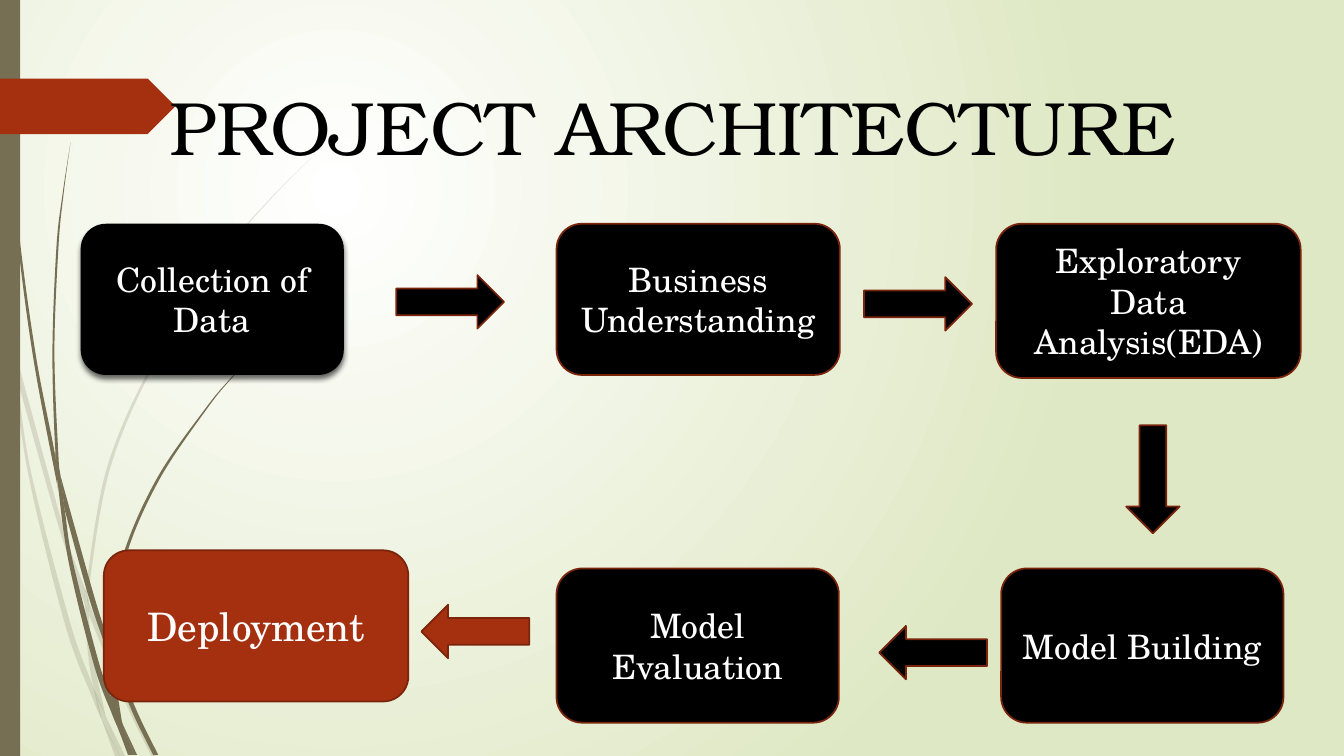
from dataclasses import dataclass
from typing import NamedTuple

from lxml import etree
from pptx import Presentation
from pptx import slide as sl
from pptx import util as u
from pptx.dml import color
from pptx.enum import shapes, text
from pptx.oxml import ns
from pptx.shapes import autoshape
from pptx.text import text as tx

SLIDE_W, SLIDE_H = u.Inches(13.33), u.Inches(7.5)
COLS, ROWS = 13.33, 7.5
COL, ROW = SLIDE_W / COLS, SLIDE_H / ROWS
ARROW_LONG, ARROW_SHORT = 1.07, 0.53
SHAPE = shapes.MSO_SHAPE
Point = tuple[float, float]


@dataclass(frozen=True)
class Theme:
    glow: str = "FFFFFF"
    backdrop: str = "DFE8C4"
    grass: str = "766F54"
    accent: str = "A53010"
    outline: str = "7A240C"
    dark: str = "000000"
    light: str = "FFFFFF"
    title_font: str = "TeX Gyre Bonum"
    body_font: str = "TeX Gyre Schola"
    title_size: float = 54
    step_size: float = 24
    final_size: float = 28
    line_width: float = 1.25
    faint: int = 20


THEME = Theme()


class Cell(NamedTuple):
    col: float
    row: float
    cols: float
    rows: float


class Step(NamedTuple):
    label: str
    cell: Cell
    fill: str = THEME.dark
    size: float = THEME.step_size
    raised: bool = False


class Arrow(NamedTuple):
    kind: shapes.MSO_SHAPE
    col: float
    row: float
    fill: str = THEME.dark


class Blade(NamedTuple):
    near: list[Point]
    far: list[Point]


FAINT_BLADES = [
    Blade([(0, 2.82), (0.09, 3.22), (0.11, 3.5)], [(0, 2.99), (0.1, 3.44), (0.11, 3.5)]),
    Blade([(0.14, 3.45), (0.62, 5.2), (0.85, 5.86)], [(0.17, 3.76), (0.58, 5.22), (0.84, 5.99)]),
    Blade([(0.88, 5.96), (0.92, 6.07), (1.27, 6.92), (1.55, 7.5)], [(0.88, 6.1), (1.23, 6.94), (1.5, 7.5)]),
    Blade([(1.05, 7.11), (1.24, 7.5)], [(1.05, 7.11), (1.19, 7.5)]),
    Blade([(0.11, 3.5), (0.17, 3.76), (0.31, 4.69), (0.7, 6.19), (0.93, 6.83), (1.01, 7.14)],
          [(0.11, 3.5), (0.28, 4.7), (0.65, 6.21), (0.92, 6.93), (1.01, 7.14)]),
    Blade([(0.84, 5.99), (0.88, 6.1), (0.91, 6.46), (1.05, 7.11)],
          [(0.84, 5.99), (0.87, 6.46), (0.93, 6.83), (1.05, 7.11)]),
    Blade([(3.12, 1.53), (2.68, 1.98), (2.29, 2.45), (1.6, 3.49), (1.1, 4.62), (0.88, 5.84), (0.88, 5.96)],
          [(3.12, 1.53), (2.68, 1.97), (2.28, 2.44), (1.58, 3.48), (1.07, 4.61), (0.85, 5.84), (0.85, 5.86)]),
    Blade([(1.01, 7.14), (1.19, 7.5)], [(1.01, 7.14), (1.14, 7.5)]),
    Blade([(0.85, 5.86), (0.88, 5.96), (0.88, 6.1)], [(0.84, 5.99), (0.88, 6.08)]),
    Blade([(0.93, 6.83), (1.05, 7.11), (1.19, 7.5)], [(0.93, 6.83), (1.01, 7.14), (1.19, 7.5)]),
]

BLADES = [
    Blade([(0.04, 0), (0.05, 0.48), (0.08, 1.09), (0.19, 2.32), (0.36, 3.55), (0.55, 4.53), (0.57, 4.81)],
          [(0.03, 0), (0.04, 0.48), (0.07, 1.1), (0.17, 2.33), (0.33, 3.55), (0.56, 4.77), (0.57, 4.81)]),
    Blade([(0.6, 4.72), (0.93, 5.9), (1.06, 6.31)], [(0.64, 5.05), (0.88, 5.92), (1.06, 6.45)]),
    Blade([(1.1, 6.41), (1.13, 6.49), (1.36, 7.06), (1.57, 7.49)], [(1.11, 6.56), (1.32, 7.08), (1.52, 7.49)]),
    Blade([(0.57, 4.77), (0.64, 5.05), (0.72, 5.56), (0.98, 6.57), (1.1, 6.91), (1.17, 7.22)],
          [(0.57, 4.77), (0.68, 5.57), (0.93, 6.59), (1.11, 7.08), (1.17, 7.22)]),
    Blade([(0.7, 1.41), (0.63, 1.93), (0.58, 2.45), (0.54, 3.49), (0.58, 4.53), (0.6, 4.72)],
          [(0.7, 1.41), (0.62, 1.93), (0.56, 2.45), (0.52, 3.49), (0.55, 4.49), (0.6, 4.72)]),
    Blade([(1.22, 7.19), (1.36, 7.49)], [(1.22, 7.19), (1.33, 7.49)]),
    Blade([(0.55, 4.49), (0.6, 4.72), (0.64, 5.05)], [(0.55, 4.53), (0.57, 4.77), (0.64, 5.05)]),
    Blade([(2.6, 3.44), (2.31, 3.74), (2.05, 4.06), (1.58, 4.76), (1.25, 5.52), (1.11, 6.33), (1.1, 6.41)],
          [(2.6, 3.44), (2.31, 3.73), (2.04, 4.05), (1.56, 4.74), (1.22, 5.51), (1.06, 6.31)]),
    Blade([(1.17, 7.22), (1.31, 7.49)], [(1.17, 7.22), (1.27, 7.49)]),
    Blade([(1.06, 6.45), (1.11, 6.56), (1.21, 7.16)], [(1.06, 6.45), (1.1, 6.91), (1.22, 7.19)]),
    Blade([(1.1, 6.91), (1.22, 7.19), (1.33, 7.49)], [(1.1, 6.91), (1.17, 7.22), (1.3, 7.49)]),
]

STEPS = [
    Step("Collection of Data", Cell(0.8, 2.22, 2.61, 1.5), raised=True),
    Step("Business Understanding", Cell(5.52, 2.22, 2.81, 1.5)),
    Step("Exploratory Data Analysis(EDA)", Cell(9.88, 2.22, 3.02, 1.53)),
    Step("Model Building", Cell(9.93, 5.64, 2.8, 1.53)),
    Step("Model Evaluation", Cell(5.52, 5.64, 2.8, 1.53)),
    Step("Deployment", Cell(1.03, 5.46, 3.02, 1.5), THEME.accent, THEME.final_size),
]

ARROWS = [
    Arrow(SHAPE.RIGHT_ARROW, 3.93, 2.73),
    Arrow(SHAPE.RIGHT_ARROW, 8.57, 2.75),
    Arrow(SHAPE.DOWN_ARROW, 11.17, 4.22),
    Arrow(SHAPE.LEFT_ARROW, 8.72, 6.21),
    Arrow(SHAPE.LEFT_ARROW, 4.18, 6, THEME.accent),
]


def place(cell: Cell) -> list[int]:
    return [round(n * unit) for n, unit in zip(cell, (COL, ROW, COL, ROW))]


def smooth(knots: list[Point]) -> list[Point]:
    ends = [knots[0], *knots, knots[-1]]
    curve = [knots[0]]
    for a, b, c, d in zip(ends, ends[1:], ends[2:], ends[3:]):
        curve += [tuple(q + (r - p) / 6 for p, q, r in zip(a, b, c)),
                  tuple(r - (v - q) / 6 for q, r, v in zip(b, c, d)), c]
    return curve


def paint(sp: autoshape.Shape, fill: str, line: str | None = None) -> None:
    sp.shadow.inherit = False
    sp.fill.solid()
    sp.fill.fore_color.rgb = color.RGBColor.from_string(fill)
    if line:
        sp.line.color.rgb = color.RGBColor.from_string(line)
        sp.line.width = u.Pt(THEME.line_width)
    else:
        sp.line.fill.background()


def write(tf: tx.TextFrame, label: str, font: str, size: float, ink: str) -> None:
    tf.text = label
    p = tf.paragraphs[0]
    p.alignment = text.PP_ALIGN.CENTER
    r = p.runs[0]
    r.font.name, r.font.size = font, u.Pt(size)
    r.font.color.rgb = color.RGBColor.from_string(ink)


def draw_shape(s: sl.Slide, kind: SHAPE, cell: Cell, fill: str, line: str | None = None) -> autoshape.Shape:
    sp = s.shapes.add_shape(kind, *place(cell))
    paint(sp, fill, line)
    return sp


def draw_backdrop(s: sl.Slide) -> None:
    fill = s.background.fill
    fill.gradient()
    for stop, tone in zip(fill.gradient_stops, (THEME.glow, THEME.backdrop)):
        stop.color.rgb = color.RGBColor.from_string(tone)
    grad = s.element.find(".//" + ns.qn("a:gradFill"))
    grad.remove(grad.find(ns.qn("a:lin")))
    radial = etree.SubElement(grad, ns.qn("a:path"), path="circle")
    etree.SubElement(radial, ns.qn("a:fillToRect"), l="50000", t="50000", r="100000", b="100000")


def draw_blade(s: sl.Slide, blade: Blade, opacity: int) -> None:
    near, far = smooth(blade.near), smooth(blade.far[::-1])
    outline = [(round(x * COL), round(y * ROW)) for x, y in near + far]
    builder = s.shapes.build_freeform(*outline[0])
    builder.add_line_segments(outline[1:], close=True)
    sp = builder.convert_to_shape()
    paint(sp, THEME.grass)
    legs = sp.element.spPr.findall(".//" + ns.qn("a:lnTo"))
    del legs[len(near) - 1]
    for trio in zip(legs[::3], legs[1::3], legs[2::3]):
        bend = etree.Element(ns.qn("a:cubicBezTo"))
        trio[0].addprevious(bend)
        for leg in trio:
            bend.append(leg[0])
            leg.getparent().remove(leg)
    if opacity < 100:
        tone = sp.element.spPr.find(".//" + ns.qn("a:srgbClr"))
        etree.SubElement(tone, ns.qn("a:alpha"), val=str(opacity * 1000))


def draw_step(s: sl.Slide, step: Step) -> None:
    line = None if step.raised else THEME.outline
    sp = draw_shape(s, SHAPE.ROUNDED_RECTANGLE, step.cell, step.fill, line)
    tf = sp.text_frame
    tf.word_wrap, tf.vertical_anchor = True, text.MSO_ANCHOR.MIDDLE
    write(tf, step.label, THEME.body_font, step.size, THEME.light)
    if step.raised:
        shadow = etree.SubElement(sp.element.spPr.find(ns.qn("a:effectLst")), ns.qn("a:outerShdw"),
                                  blurRad=str(u.Pt(4)), dist=str(u.Pt(3)), dir="5400000", rotWithShape="0")
        tone = etree.SubElement(shadow, ns.qn("a:srgbClr"), val=THEME.dark)
        etree.SubElement(tone, ns.qn("a:alpha"), val="60000")


def draw_arrow(s: sl.Slide, arrow: Arrow) -> None:
    upright = arrow.kind == SHAPE.DOWN_ARROW
    size = (ARROW_SHORT, ARROW_LONG) if upright else (ARROW_LONG, ARROW_SHORT)
    draw_shape(s, arrow.kind, Cell(arrow.col, arrow.row, *size), arrow.fill, THEME.outline)


def draw_title(s: sl.Slide, label: str) -> None:
    tf = s.shapes.add_textbox(*place(Cell(1.33, 0.74, 10.68, 1.01))).text_frame
    tf.word_wrap, tf.auto_size = False, text.MSO_AUTO_SIZE.SHAPE_TO_FIT_TEXT
    write(tf, label, THEME.title_font, THEME.title_size, THEME.dark)


def main() -> None:
    prs = Presentation()
    prs.slide_width, prs.slide_height = SLIDE_W, SLIDE_H
    s = prs.slides.add_slide(prs.slide_layouts[6])
    draw_backdrop(s)
    for blades, opacity in ((FAINT_BLADES, THEME.faint), (BLADES, 100)):
        for blade in blades:
            draw_blade(s, blade, opacity)
    draw_shape(s, SHAPE.RECTANGLE, Cell(0, 0, 0.2, ROWS), THEME.grass)
    draw_shape(s, SHAPE.PENTAGON, Cell(0, 0.78, 1.74, 0.55), THEME.accent)
    draw_title(s, "PROJECT ARCHITECTURE")
    for step in STEPS:
        draw_step(s, step)
    for arrow in ARROWS:
        draw_arrow(s, arrow)
    prs.save("out.pptx")


if __name__ == "__main__":
    main()
